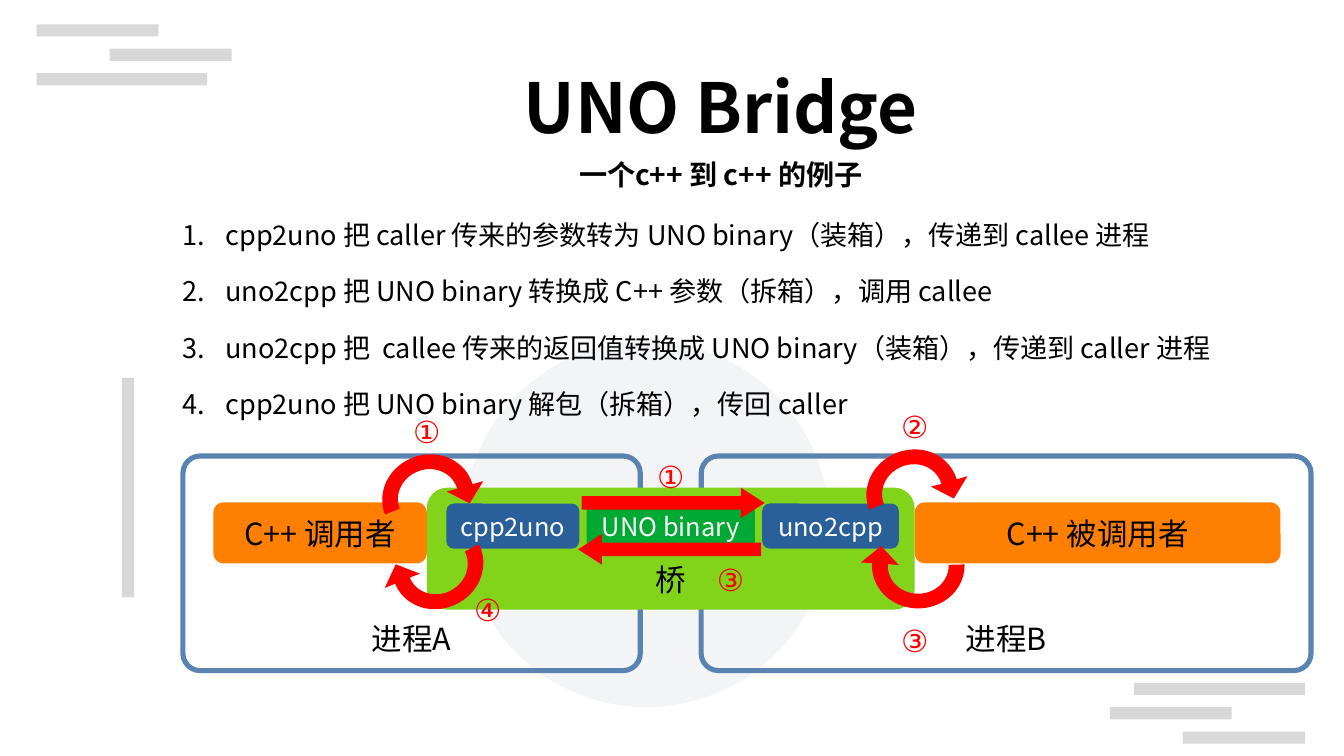
from copy import deepcopy
from dataclasses import dataclass
from math import cos, pi, radians, sin, tan

from lxml import etree
from pptx import Presentation
from pptx.dml.color import RGBColor
from pptx.enum.shapes import MSO_SHAPE
from pptx.enum.text import MSO_ANCHOR, MSO_AUTO_SIZE, PP_ALIGN
from pptx.oxml.ns import qn
from pptx.util import Inches, Pt

RECT = MSO_SHAPE.RECTANGLE
ROUND = MSO_SHAPE.ROUNDED_RECTANGLE
OVAL = MSO_SHAPE.OVAL
ARROW = MSO_SHAPE.RIGHT_ARROW
TOP, MIDDLE, BOTTOM = MSO_ANCHOR.TOP, MSO_ANCHOR.MIDDLE, MSO_ANCHOR.BOTTOM
LEFT, CENTER = PP_ALIGN.LEFT, PP_ALIGN.CENTER
FIXED = MSO_AUTO_SIZE.NONE


@dataclass(frozen=True)
class Theme:
    font: str = "Noto Sans CJK SC"
    mark: str = "Roboto"
    ink: str = "000000"
    white: str = "FFFFFF"
    bar: str = "CCCCCC"
    disc: str = "8D99AE"
    frame: str = "5983B0"
    orange: str = "FF8000"
    lime: str = "81D41A"
    blue: str = "2A6099"
    green: str = "00A933"
    red: str = "FF0000"
    title: float = 40.7
    sub: float = 16.6
    body: float = 16
    label: float = 18
    small: float = 15


def write(par, text, font, size, color, bold=False):
    run = par.add_run()
    run.text = text
    run.font.name = font
    run.font.size = Pt(size)
    run.font.bold = bold
    run.font.color.rgb = RGBColor.from_string(color)
    props = run._r.get_or_add_rPr()
    etree.SubElement(props, qn("a:ea")).set("typeface", font)
    return props


def curve(wide, high, start, end, count=3):
    step = (end - start) / count
    pull = 4 / 3 * tan(step / 4)
    points = [(wide * cos(start), high * sin(start))]
    for i in range(count):
        a, b = start + i * step, start + (i + 1) * step
        points += [(wide * (cos(a) - pull * sin(a)), high * (sin(a) + pull * cos(a))),
                   (wide * (cos(b) + pull * sin(b)), high * (sin(b) - pull * cos(b))),
                   (wide * cos(b), high * sin(b))]
    return points


def bend(lines):
    for i in range(0, len(lines), 3):
        first = lines[i]
        first.tag = qn("a:cubicBezTo")
        for line in lines[i + 1:i + 3]:
            first.append(line[0])
            line.getparent().remove(line)


class Board:
    def __init__(self, slide, theme):
        self.slide = slide
        self.theme = theme

    def frame(self, shape, anchor, inset=(0.1, 0.05), wrap=True):
        text = shape.text_frame
        text.word_wrap = wrap
        text.auto_size = FIXED
        text.vertical_anchor = anchor
        text.margin_left = text.margin_right = Inches(inset[0])
        text.margin_top = text.margin_bottom = Inches(inset[1])
        return text

    def paint(self, shape, fill=None, alpha=None, line=None):
        shape.shadow.inherit = False
        if fill:
            shape.fill.solid()
            shape.fill.fore_color.rgb = RGBColor.from_string(fill)
        else:
            shape.fill.background()
        if alpha:
            color = next(shape.element.iter(qn("a:srgbClr")))
            etree.SubElement(color, qn("a:alpha")).set("val", str(alpha * 1000))
        if line:
            shape.line.color.rgb = RGBColor.from_string(line)
            shape.line.width = Pt(3)
        else:
            shape.line.fill.background()

    def shape(self, kind, box, fill=None, alpha=None, line=None, adjust=()):
        shape = self.slide.shapes.add_shape(kind, *map(Inches, box))
        self.paint(shape, fill, alpha, line)
        for i, value in enumerate(adjust):
            shape.adjustments[i] = value
        return shape

    def block(self, text, box, fill=None, line=None, round=0.167, size=None,
              color=None, anchor=MIDDLE, inset=(0.1, 0.05)):
        shape = self.shape(ROUND, box, fill, line=line, adjust=[round])
        par = self.frame(shape, anchor, inset, wrap=False).paragraphs[0]
        par.alignment = CENTER
        write(par, text, self.theme.font, size or self.theme.label,
              color or self.theme.ink)

    def mark(self, text, left, top):
        box = self.slide.shapes.add_textbox(*map(Inches, (left, top, 0.5, 0.5)))
        par = self.frame(box, MIDDLE).paragraphs[0]
        par.alignment = CENTER
        write(par, text, self.theme.mark, self.theme.label, self.theme.red)

    def loop(self, x, y, angle):
        end = 2 * pi + 0.09
        outer = curve(0.38, 0.35, pi, end)
        inner = curve(0.25, 0.23, end, pi)
        head = [(0.47, 0.04), (0.3, 0.17), (0.16, 0.01)]
        c, s = cos(radians(angle)), sin(radians(angle))
        points = [(Inches(x + u * c - v * s), Inches(y + u * s + v * c))
                  for u, v in outer + head + inner]
        path = self.slide.shapes.build_freeform(*points[0])
        path.add_line_segments(points[1:])
        shape = path.convert_to_shape()
        lines = list(shape.element.iter(qn("a:lnTo")))
        bend(lines[:9])
        bend(lines[13:22])
        self.paint(shape, self.theme.red)

    def place(self, holder, box, anchor):
        holder.left, holder.top, holder.width, holder.height = map(Inches, box)
        holder.element.getparent().append(holder.element)
        return self.frame(holder, anchor, (0, 0))

    def title(self, text, sub, box):
        look = self.theme
        par = self.place(self.slide.shapes.title, box, MIDDLE).paragraphs[0]
        par.alignment = CENTER
        par.line_spacing = 1.3
        props = write(par, text, look.font, look.title, look.ink, bold=True)
        par.add_line_break()
        next(par._p.iter(qn("a:br"))).append(deepcopy(props))
        write(par, sub, look.font, look.sub, look.ink, bold=True)

    def steps(self, items, box):
        look = self.theme
        text = self.place(self.slide.placeholders[1], box, TOP)
        for i, item in enumerate(items):
            par = text.add_paragraph() if i else text.paragraphs[0]
            par.alignment = LEFT
            par.line_spacing = 1.15
            par.space_before = Pt(11.3)
            props = par._p.get_or_add_pPr()
            props.set("marL", str(Inches(0.47)))
            props.set("indent", str(Inches(-0.35)))
            etree.SubElement(props, qn("a:buFontTx"))
            etree.SubElement(props, qn("a:buAutoNum")).set("type", "arabicPeriod")
            write(par, item, look.font, look.body, look.ink)


def main():
    deck = Presentation()
    deck.slide_width, deck.slide_height = Inches(11.02), Inches(6.2)
    look = Theme()
    board = Board(deck.slides.add_slide(deck.slide_layouts[1]), look)
    for bar in [(9.3, 5.6, 1.4, 0.1), (9.1, 5.8, 1, 0.1), (9.7, 6, 1, 0.1),
                (0.3, 0.6, 1.4, 0.1), (0.9, 0.4, 1, 0.1), (0.3, 0.2, 1, 0.1),
                (1, 3.1, 0.1, 1.8)]:
        board.shape(RECT, bar, look.bar, alpha=75)
    board.shape(OVAL, (3.8, 2.8, 3, 3), look.disc, alpha=10)
    for name, left, width in [("进程A", 1.5, 3.75), ("进程B", 5.75, 5)]:
        board.block(name, (left, 3.74, width, 1.76), line=look.frame,
                    round=0.08, anchor=BOTTOM, inset=(0.12, 0.07))
    board.title("UNO Bridge", "一个c++ 到 c++ 的例子", (1.38, 0.25, 9.06, 1.4))
    board.steps([
        "cpp2uno 把 caller 传来的参数转为 UNO binary（装箱），传递到 callee 进程",
        "uno2cpp 把 UNO binary 转换成 C++ 参数（拆箱），调用 callee",
        "uno2cpp 把  callee 传来的返回值转换成 UNO binary（装箱），传递到 caller 进程",
        "cpp2uno 把 UNO binary 解包（拆箱），传回 caller",
    ], (1.38, 1.75, 9.06, 1.95))
    for name, left, width in [("C++ 调用者", 1.75, 1.75), ("C++ 被调用者", 7.5, 3)]:
        board.block(name, (left, 4.12, width, 0.5), look.orange)
    board.block("桥", (3.5, 4, 4, 1), look.lime, anchor=BOTTOM)
    for name, left, width, fill in [("cpp2uno", 3.66, 1.09, look.blue),
                                    ("uno2cpp", 6.25, 1.12, look.blue),
                                    ("UNO binary", 4.81, 1.38, look.green)]:
        board.block(name, (left, 4.13, width, 0.37), fill,
                    size=look.small, color=look.white)
    for x, y, angle in [(3.51, 4.08, -21.4), (7.48, 4.04, -21.4),
                        (7.53, 4.64, 178.4), (3.59, 4.64, 152.4)]:
        board.loop(x, y, angle)
    for left, top, angle in [(4.77, 4, 0), (4.74, 4.38, 180)]:
        arrow = board.shape(ARROW, (left, top, 1.5, 0.25), look.red,
                            adjust=[0.44, 0.776])
        arrow.rotation = angle
    for text, left, top in [("①", 3.25, 3.29), ("①", 5.25, 3.66), ("②", 7.25, 3.25),
                            ("③", 7.25, 5), ("③", 5.74, 4.5), ("④", 3.75, 4.75)]:
        board.mark(text, left, top)
    deck.save("out.pptx")


if __name__ == "__main__":
    main()
